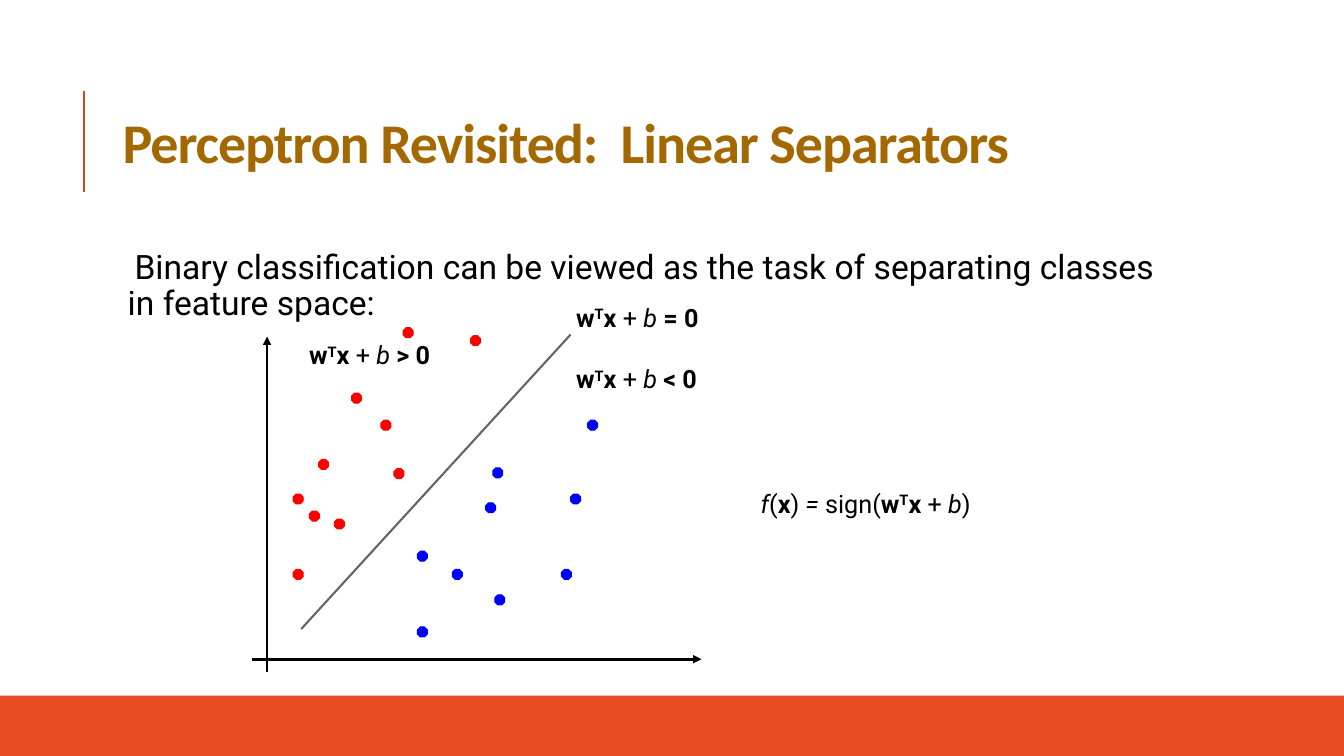
"""Build the slide on linear separators for the perceptron."""
from dataclasses import dataclass

from lxml import etree
from pptx import Presentation
from pptx import util as u
from pptx.dml.color import RGBColor
from pptx.enum import shapes, text
from pptx.oxml.ns import qn

BLACK, ORANGE, RUST, GOLD, GREY = "000000", "E84C22", "D34817", "A36900", "696464"
RED, BLUE = "FF0000", "0000FF"
DOT_SIZE = 0.25


@dataclass(frozen=True)
class Piece:
    text: str
    bold: bool = False
    italic: bool = False
    raised: bool = False


@dataclass(frozen=True)
class Box:
    left: float
    top: float
    width: float
    height: float


@dataclass(frozen=True)
class Formula:
    box: Box
    pieces: tuple[Piece, ...]


@dataclass(frozen=True)
class Line:
    start: tuple[float, float]
    end: tuple[float, float]
    color: str
    weight: float
    arrow: bool = False


@dataclass(frozen=True)
class PointClass:
    color: str
    corners: tuple[tuple[float, float], ...]


WEIGHTED_SUM = (
    Piece("w", bold=True),
    Piece("T", bold=True, raised=True),
    Piece("x ", bold=True),
    Piece("+ "),
    Piece("b", italic=True),
)
DECISION = (
    Piece("f", italic=True),
    Piece("("),
    Piece("x", bold=True),
    Piece(")"),
    Piece(" = ", italic=True),
    Piece("sign("),
    *WEIGHTED_SUM,
    Piece(")"),
)


def region(left: float, top: float, relation: str) -> Formula:
    return Formula(Box(left, top, 7.42, 1.27), (*WEIGHTED_SUM, Piece(relation, bold=True)))


FORMULAS = (
    region(14.27, 7.49, " = 0"),
    region(14.27, 9.04, " < 0"),
    region(7.54, 8.43, " > 0"),
    Formula(Box(18.92, 12.17, 8.15, 1.27), DECISION),
)
LINES = (
    Line((2.11, 4.83), (2.11, 2.29), RUST, 1.5),
    Line((6.73, 16.94), (6.73, 8.48), BLACK, 2, arrow=True),
    Line((6.35, 16.61), (17.68, 16.61), BLACK, 2, arrow=True),
    Line((7.59, 15.85), (14.38, 8.43), GREY, 1.5),
)
POINT_CLASSES = (
    PointClass(RED, (
        (9.6, 10.59), (8.03, 11.58), (8.43, 13.08), (7.39, 14.35), (8.86, 9.91),
        (7.39, 12.45), (7.8, 12.88), (9.93, 11.81), (10.16, 8.26), (11.86, 8.46),
    )),
    PointClass(BLUE, (
        (12.42, 11.79), (11.4, 14.35), (14.15, 14.35), (10.52, 15.8), (12.24, 12.67),
        (10.52, 13.89), (12.47, 14.99), (14.38, 12.45), (14.81, 10.59),
    )),
)


def rgb(color: str) -> RGBColor:
    return RGBColor.from_string(color)


def lengths(box: Box) -> tuple:
    return u.Cm(box.left), u.Cm(box.top), u.Cm(box.width), u.Cm(box.height)


def draw_shape(slide, kind, box: Box, color: str):
    shape = slide.shapes.add_shape(kind, *lengths(box))
    shape.shadow.inherit = False
    shape.fill.solid()
    shape.fill.fore_color.rgb = rgb(color)
    shape.line.color.rgb = rgb(color)
    shape.line.width = u.Pt(0.75)
    return shape


def draw_line(slide, line: Line) -> None:
    connector = slide.shapes.add_connector(
        shapes.MSO_CONNECTOR.STRAIGHT, *(u.Cm(c) for c in line.start + line.end))
    connector.line.color.rgb = rgb(line.color)
    connector.line.width = u.Pt(line.weight)
    if line.arrow:
        etree.SubElement(connector.line._get_or_add_ln(), qn("a:tailEnd"), type="triangle")
    etree.SubElement(connector._element.spPr, qn("a:effectLst"))


def draw_text(slide, box: Box, pieces: tuple[Piece, ...], size: float,
              color: str = BLACK, font: str = "Roboto"):
    frame = slide.shapes.add_textbox(*lengths(box)).text_frame
    frame.word_wrap = True
    paragraph = frame.paragraphs[0]
    for piece in pieces:
        run = paragraph.add_run()
        run.text = piece.text
        run.font.name = font
        run.font.size = u.Pt(size)
        run.font.bold = piece.bold
        run.font.italic = piece.italic
        run.font.color.rgb = rgb(color)
        if piece.raised:
            run.font._element.set("baseline", "30000")
    return frame


def draw_title(slide) -> None:
    heading = Piece("Perceptron Revisited:  Linear Separators", bold=True)
    frame = draw_text(slide, Box(2.84, 1.63, 27, 4.17), (heading,), 40, GOLD, "Calibri")
    frame.vertical_anchor = text.MSO_ANCHOR.MIDDLE
    paragraph = frame.paragraphs[0]
    paragraph.line_spacing = 0.8
    paragraph.runs[0].font._element.set("spc", "-70")


def draw_statement(slide) -> None:
    statement = Piece("Binary classification can be viewed as the task of "
                      "separating classes in feature space:")
    frame = draw_text(slide, Box(2.84, 6.17, 27, 11), (statement,), 24)
    frame.margin_left = frame.margin_right = u.Cm(0.13)
    frame.margin_top = frame.margin_bottom = u.Cm(0.13)
    paragraph = frame.paragraphs[0]
    paragraph.line_spacing = 0.9
    paragraph.space_before = u.Pt(12)
    paragraph.space_after = u.Pt(2)
    properties = paragraph._p.get_or_add_pPr()
    properties.set("marL", str(u.Cm(0.25)))
    properties.set("indent", str(-u.Cm(0.25)))
    bullet_color = etree.SubElement(properties, qn("a:buClr"))
    etree.SubElement(bullet_color, qn("a:srgbClr"), val=RUST)
    etree.SubElement(properties, qn("a:buChar"), char=" ")


def draw_formula(slide, formula: Formula) -> None:
    frame = draw_text(slide, formula.box, formula.pieces, 18)
    frame.auto_size = text.MSO_AUTO_SIZE.SHAPE_TO_FIT_TEXT
    frame.paragraphs[0].space_before = u.Pt(9)


def main() -> None:
    deck = Presentation()
    deck.slide_width, deck.slide_height = u.Cm(33.87), u.Cm(19.05)
    slide = deck.slides.add_slide(deck.slide_layouts[6])
    footer = draw_shape(slide, shapes.MSO_SHAPE.RECTANGLE, Box(0, 17.53, 33.87, 1.52), ORANGE)
    footer.line.fill.background()
    draw_title(slide)
    draw_statement(slide)
    for line in LINES:
        draw_line(slide, line)
    for group in POINT_CLASSES:
        for corner in group.corners:
            draw_shape(slide, shapes.MSO_SHAPE.OCTAGON,
                       Box(*corner, DOT_SIZE, DOT_SIZE), group.color)
    for formula in FORMULAS:
        draw_formula(slide, formula)
    deck.save("out.pptx")


if __name__ == "__main__":
    main()
